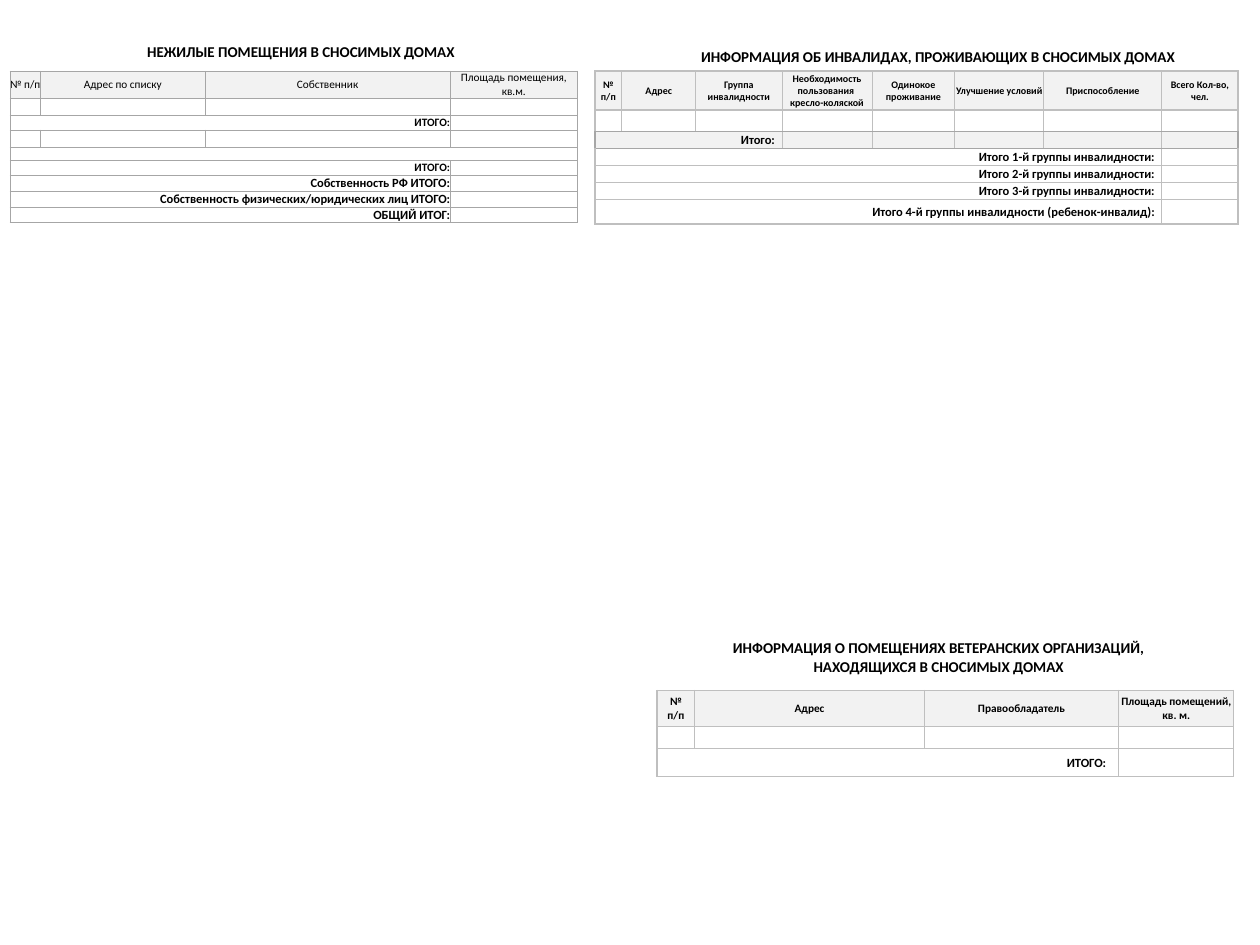
from pptx import Presentation
from pptx.dml.color import RGBColor
from pptx.enum.text import MSO_ANCHOR, MSO_AUTO_SIZE, PP_ALIGN
from pptx.oxml.ns import qn
from pptx.util import Inches, Pt
from lxml.etree import SubElement

FONT = "Calibri"
GREY, DARK, PALE, WHITE = "BFBFBF", "A6A6A6", "F2F2F2", "FFFFFF"


def color(code):
    """Turn a hex string into a colour."""
    return RGBColor.from_string(code)


def write(frame, text, size, bold=True, align=PP_ALIGN.CENTER, space=1.0):
    """Put text into a frame, one paragraph per line, and format it."""
    frame.text = text
    for para in frame.paragraphs:
        para.alignment = align
        para.line_spacing = space
        for run in para.runs:
            font = run.font
            font.name, font.size, font.bold = FONT, Pt(size), bold
            font.color.rgb = color("000000")


def inset(item, left, top, right, bottom):
    """Set the inner margins of a cell or text frame."""
    item.margin_left, item.margin_top = Inches(left), Inches(top)
    item.margin_right, item.margin_bottom = Inches(right), Inches(bottom)


def place(shape, box):
    """Move and size a shape, lengths in inches."""
    shape.left, shape.top, shape.width, shape.height = map(Inches, box)


def heading(shape, box, text, pad=(0.1, 0.05, 0.1, 0.05), space=1.07):
    """Format a shape as the heading of a table."""
    place(shape, box)
    frame = shape.text_frame
    frame.word_wrap = True
    frame.auto_size = MSO_AUTO_SIZE.NONE
    frame.vertical_anchor = MSO_ANCHOR.TOP
    inset(frame, *pad)
    write(frame, text, 12, space=space)


def border(cell, lines):
    """Draw left, right, top and bottom lines, each (colour, points)."""
    props = cell._tc.get_or_add_tcPr()
    for index, (side, (code, width)) in enumerate(zip("LRTB", lines)):
        line = SubElement(props, qn(f"a:ln{side}"), w=str(Pt(width)))
        fill = SubElement(line, qn("a:solidFill"))
        SubElement(fill, qn("a:srgbClr"), val=code)
        props.insert(index, line)


def blank(cell):
    """Keep an empty cell from stretching its row."""
    para = cell.text_frame.paragraphs[0]
    SubElement(para._p, qn("a:endParaRPr"), sz="600")


def grid(slide, spot, widths, heights, rows, fills, size, pad, rules, sides,
         inner, bold=True, gap=0.08):
    """Add a table; a tuple row is (label, span, size) and merges cells.

    rules holds the horizontal lines, sides the outer line of each row.
    """
    count = len(widths)
    box = (*spot, sum(widths), sum(heights))
    table = slide.shapes.add_table(len(rows), count, *map(Inches, box)).table
    table.first_row = table.horz_banding = False
    for col, width in zip(table.columns, widths):
        col.width = Inches(width)
    for r, row in enumerate(rows):
        table.rows[r].height = Inches(heights[r])
        total = isinstance(row, tuple)
        span = row[1] if total else 1
        texts = [row[0]] + [""] * (count - 1) if total else row
        if total:
            table.cell(r, 0).merge(table.cell(r, span - 1))
        for c, text in enumerate(texts):
            cell = table.cell(r, c)
            cell.vertical_anchor = MSO_ANCHOR.MIDDLE
            inset(cell, pad, pad, pad, 0)
            if fills[r]:
                cell.fill.solid()
                cell.fill.fore_color.rgb = color(fills[r])
            else:
                cell.fill.background()
            last = c + (span if c == 0 else 1) >= count
            border(cell, (sides[r] if c == 0 else inner,
                          sides[r] if last else inner,
                          rules[r], rules[r + 1]))
            if not text:
                blank(cell)
            elif total:
                cell.margin_right = Inches(gap)
                write(cell.text_frame, text, row[2], align=PP_ALIGN.RIGHT)
            else:
                write(cell.text_frame, text, size, bold)


def premises(slide):
    """Add the table of non-residential premises."""
    line = (DARK, 0.5)
    rows = [["№ п/п", "Адрес по списку", "Собственник",
             "Площадь помещения, кв.м."],
            [""] * 4, ("ИТОГО:", 3, 9), [""] * 4, ("", 4, 9),
            ("ИТОГО:", 3, 9), ("Собственность РФ ИТОГО:", 3, 10),
            ("Собственность физических/юридических лиц ИТОГО:", 3, 10),
            ("ОБЩИЙ ИТОГ:", 3, 10)]
    heights = [0.3, 0.19, 0.16, 0.19, 0.15, 0.16, 0.18, 0.18, 0.17]
    grid(slide, (0.11, 0.79), [0.34, 1.83, 2.72, 1.42], heights, rows,
         [PALE] + [WHITE] * 8, 9, 0, [line] * 10, [line] * 9, line,
         bold=False, gap=0)


def disabled(slide):
    """Add the table of disabled residents."""
    thin, thick, dark = (GREY, 1), (GREY, 1.5), (DARK, 1.5)
    groups = ["1-й группы инвалидности", "2-й группы инвалидности",
              "3-й группы инвалидности",
              "4-й группы инвалидности (ребенок-инвалид)"]
    rows = [["№\nп/п", "Адрес", "Группа инвалидности",
             "Необходимость пользования \vкресло-коляской",
             "Одинокое проживание", "Улучшение условий", "Приспособление",
             "Всего Кол-во,\nчел."],
            [""] * 8, ("Итого:", 3, 10)]
    rows += [(f"Итого {group}:", 7, 10) for group in groups]
    grid(slide, (6.61, 0.79), [0.3, 0.82, 0.96, 1, 0.92, 0.99, 1.31, 0.85],
         [0.43, 0.24, 0.19, 0.19, 0.19, 0.19, 0.27], rows,
         [PALE, None, PALE] + [None] * 4, 8, 0.01,
         [thick, thick, dark, dark] + [thin] * 4,
         [thick, thick, dark] + [thick] * 4, thin)


def veterans(slide):
    """Add the table of veterans' organisations."""
    line = (GREY, 1)
    rows = [["№\nп/п", "Адрес", "Правообладатель",
             "Площадь помещений, кв. м."],
            [""] * 4, ("ИТОГО:", 3, 10)]
    grid(slide, (7.3, 7.67), [0.42, 2.55, 2.16, 1.28], [0.4, 0.25, 0.31],
         rows, [PALE, None, None], 9, 0.01, [line] * 4, [line] * 3, line,
         gap=0.14)


def main():
    """Build the slide and save it."""
    deck = Presentation()
    deck.slide_width, deck.slide_height = Inches(14), Inches(10.5)
    slide = deck.slides.add_slide(deck.slide_layouts[5])
    heading(slide.shapes.title, (0.5, 0.47, 5.69, 0.2),
            "НЕЖИЛЫЕ ПОМЕЩЕНИЯ В СНОСИМЫХ ДОМАХ", (0, 0, 0, 0), 1.0)
    notes = [((6.88, 0.46, 7.09, 0.31),
              "ИНФОРМАЦИЯ ОБ ИНВАЛИДАХ, ПРОЖИВАЮЩИХ В СНОСИМЫХ ДОМАХ"),
             ((7.22, 7.03, 6.42, 0.53),
              "ИНФОРМАЦИЯ О ПОМЕЩЕНИЯХ ВЕТЕРАНСКИХ ОРГАНИЗАЦИЙ,\n"
              "НАХОДЯЩИХСЯ В СНОСИМЫХ ДОМАХ")]
    for box, text in notes:
        heading(slide.shapes.add_textbox(*map(Inches, box)), box, text)
    premises(slide)
    disabled(slide)
    veterans(slide)
    deck.save("out.pptx")


main()
